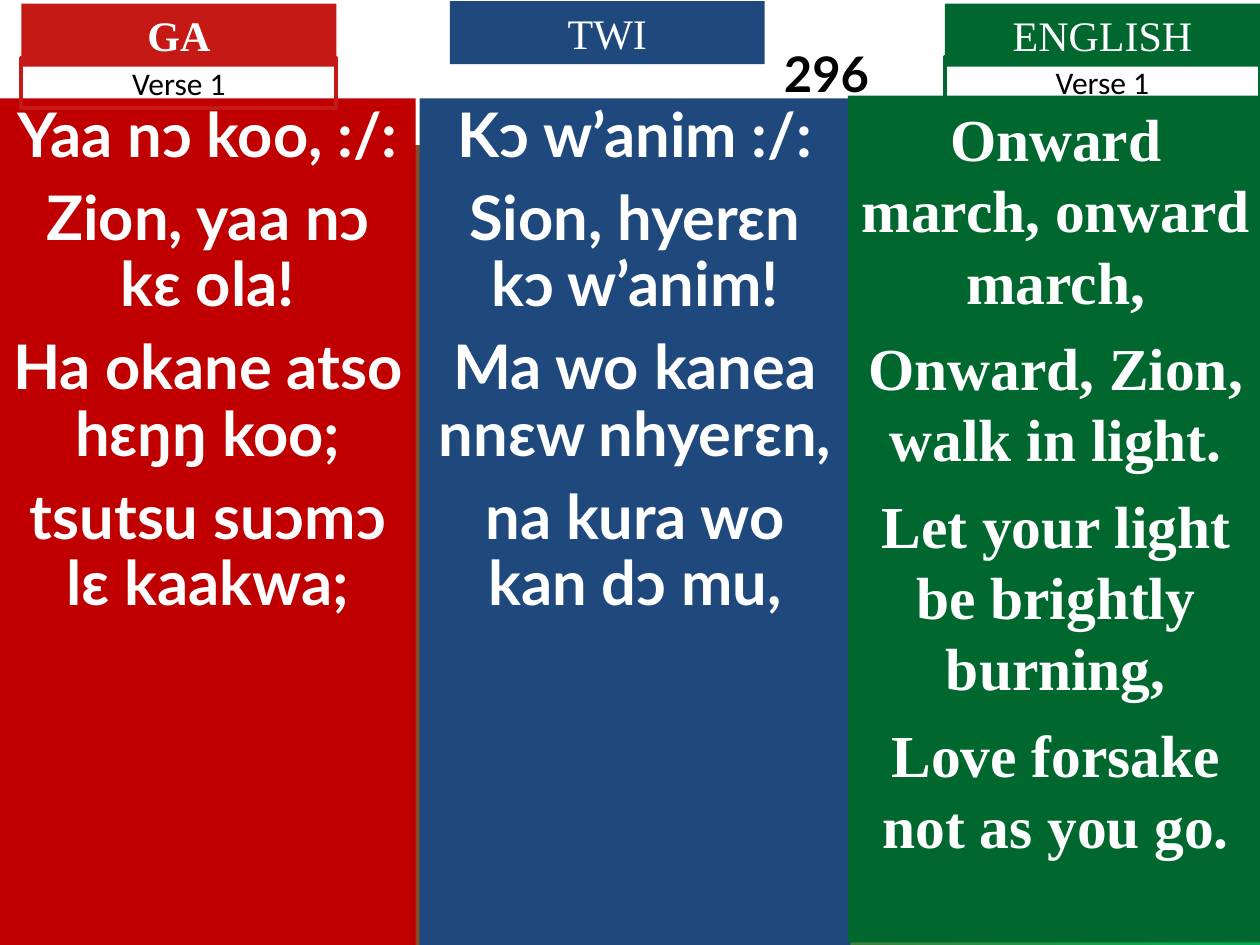
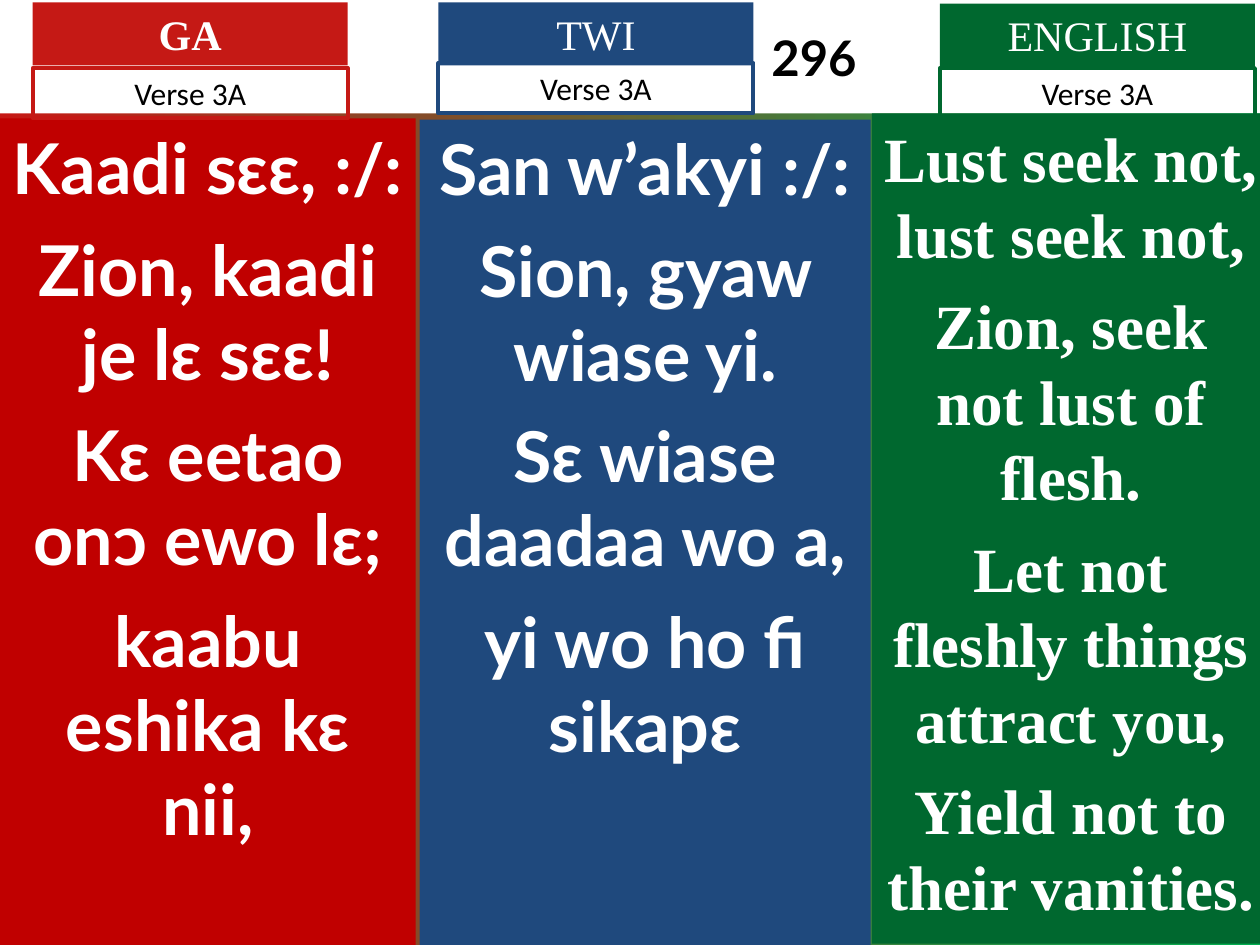
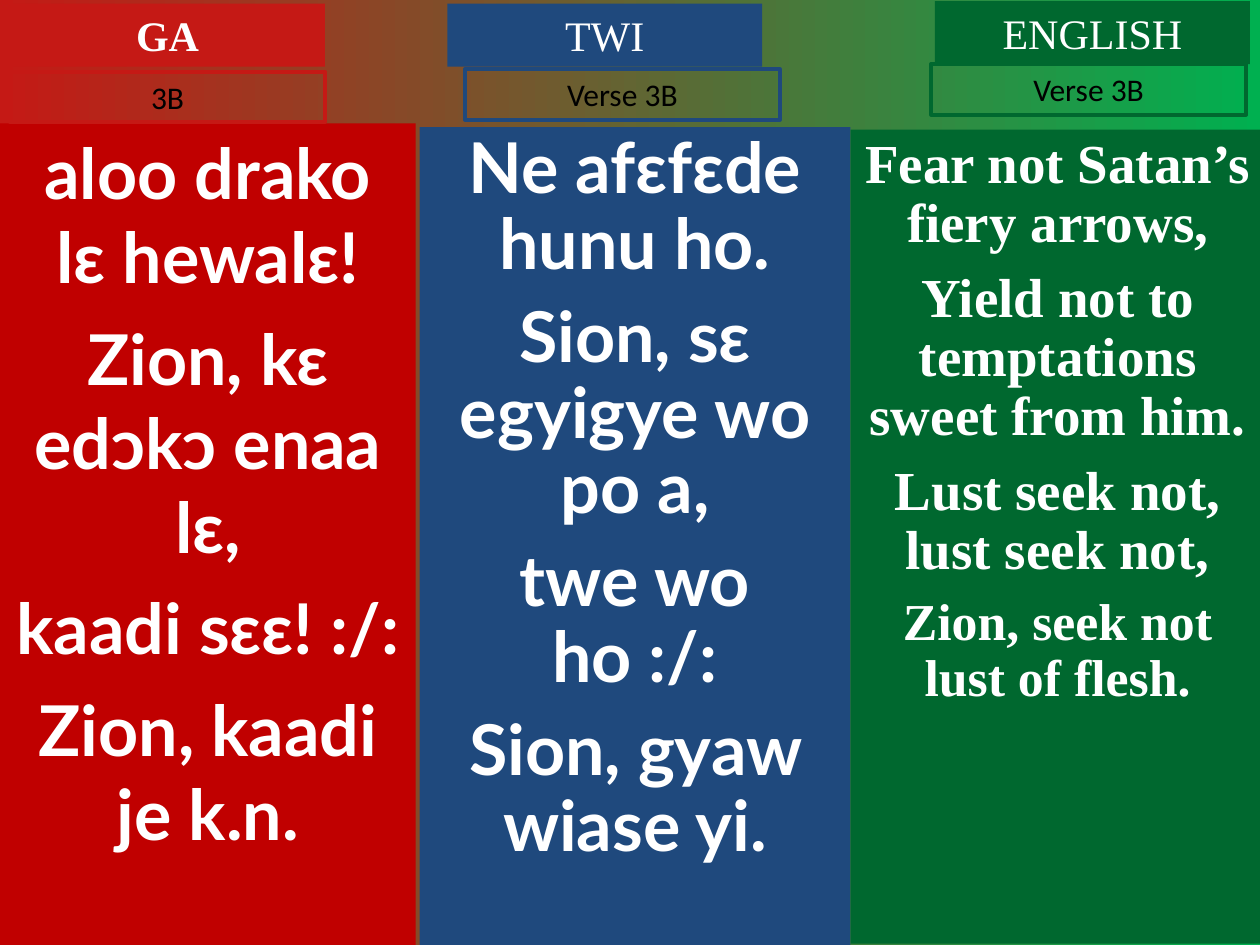
from pptx import Presentation, util as u
from pptx.dml.color import RGBColor
from pptx.enum import shapes, text

HUES = {
    "red": "C51915", "deep": "C00000", "blue": "1F497D", "green": "00682F",
    "lime": "00B050", "white": "FFFFFF", "black": "000000",
}
TONGUES = [
    {"name": "GA", "panel": "deep", "tag": "red", "font": "Lato", "bold": True},
    {"name": "TWI", "panel": "blue", "tag": "blue", "font": "Lato", "bold": False},
    {"name": "ENGLISH", "panel": "green", "tag": "green",
     "font": "Times New Roman", "bold": False},
]
TAG = (2.5, 0.5)
LABEL = (2.5, 0.4)

VERSES = [
    {"band": (0, 0, 10, 1.15), "mid": 6.56, "cols": [
        {"box": (0, 0.78, 3.3, 6.72), "tag": (0.17, 0.03),
         "label": ("Verse 1", 0.17, 0.46), "size": 35.1, "lead": 0.9, "gap": 9.5,
         "lines": ["Yaa nɔ koo, :/:", "Zion, yaa nɔ kɛ ola!",
                   "Ha okane atso hɛŋŋ koo;", "tsutsu suɔmɔ lɛ kaakwa;"]},
        {"box": (3.33, 0.78, 3.42, 6.72), "tag": (3.57, 0.01),
         "size": 35.1, "lead": 0.9, "gap": 9.5,
         "lines": ["Kɔ w’anim :/:", "Sion, hyerɛn kɔ w’anim!",
                   "Ma wo kanea nnɛw nhyerɛn,", "na kura wo kan dɔ mu,"]},
        {"box": (6.73, 0.76, 3.3, 6.72), "tag": (7.5, 0.03),
         "label": ("Verse 1", 7.5, 0.45), "size": 34, "gap": 8.5,
         "lines": ["Onward march, onward march,", "Onward, Zion, walk in light.",
                   "Let your light be brightly burning,",
                   "Love forsake not as you go."]},
    ]},
    {"band": (0, 0, 10, 0.9), "mid": 6.46, "cols": [
        {"box": (0, 0.94, 3.3, 6.56), "tag": (0.26, 0.02),
         "label": ("Verse 3A", 0.26, 0.54), "size": 40, "gap": 10,
         "lines": ["Kaadi sɛɛ, :/:", "Zion, kaadi je lɛ sɛɛ!",
                   "Kɛ eetao onɔ ewo lɛ;", "kaabu eshika kɛ nii,"]},
        {"box": (3.33, 0.95, 3.58, 6.55), "tag": (3.48, 0.02),
         "label": ("Verse 3A", 3.48, 0.5), "size": 40, "gap": 10,
         "lines": ["San w’akyi :/:", "Sion, gyaw wiase yi.",
                   "Sɛ wiase daadaa wo a,", "yi wo ho fi sikapɛ"]},
        {"box": (6.92, 0.9, 3.16, 6.59), "tag": (7.46, 0.03),
         "label": ("Verse 3A", 7.46, 0.54), "size": 36, "gap": 9,
         "lines": ["Lust seek not, lust seek not,", "Zion, seek not lust of flesh.",
                   "Let not fleshly things attract you,",
                   "Yield not to their vanities."]},
    ]},
    {"cols": [
        {"box": (0, 0.98, 3.3, 6.52), "tag": (0.08, 0.03),
         "label": ("3B", 0.08, 0.57), "size": 40, "gap": 10,
         "lines": ["aloo drako lɛ hewalɛ!", "Zion, kɛ edɔkɔ enaa lɛ,",
                   "kaadi sɛɛ! :/:", "Zion, kaadi je k.n."]},
        {"box": (3.33, 1.01, 3.42, 6.49), "tag": (3.55, 0.03),
         "label": ("Verse 3B", 3.69, 0.55), "size": 40, "lead": 0.9, "gap": 10,
         "lines": ["Ne afɛfɛde hunu ho.", "Sion, sɛ egyigye wo po a,",
                   "twe wo ho :/:", "Sion, gyaw wiase yi."]},
        {"box": (6.75, 1.03, 3.29, 6.46), "tag": (7.42, 0.01),
         "label": ("Verse 3B", 7.39, 0.51), "size": 31.4, "last": 29.6,
         "lead": 0.9, "gap": 8.5,
         "lines": ["Fear not Satan’s fiery arrows,",
                   "Yield not to temptations sweet from him.",
                   "Lust seek not, lust seek not,", "Zion, seek not lust of flesh."]},
    ]},
]


def hue(key):
    return RGBColor.from_string(HUES[key])


def block(slide, box, fill=None, line=None):
    shape = slide.shapes.add_shape(
        shapes.MSO_SHAPE.RECTANGLE, *(u.Inches(n) for n in box))
    shape.shadow.inherit = False
    if fill:
        shape.fill.solid()
        shape.fill.fore_color.rgb = hue(fill)
    else:
        shape.fill.background()
    if line:
        shape.line.color.rgb = hue(line)
        shape.line.width = u.Pt(2.25)
    else:
        shape.line.fill.background()
    return shape


def write(shape, lines, font, size, color="white", bold=False,
          lead=1.0, gap=0, anchor=text.MSO_ANCHOR.TOP):
    frame = shape.text_frame
    frame.word_wrap = True
    frame.vertical_anchor = anchor
    frame.text = "\n".join(lines)
    for i, para in enumerate(frame.paragraphs):
        para.alignment = text.PP_ALIGN.CENTER
        para.line_spacing = lead
        para.space_before = u.Pt(gap if i else 0)
        face = para.runs[0].font
        face.name, face.size, face.bold = font, u.Pt(size), bold
        face.color.rgb = hue(color)


def header(slide, box, mid):
    band = block(slide, box, "white")
    left, _, width, _ = box
    band.text_frame.margin_left = u.Inches(2 * (mid - left) - width)
    band.text_frame.margin_right = 0
    write(band, ["296"], "Lato", 28, "black", True,
          anchor=text.MSO_ANCHOR.MIDDLE)


def column(slide, tongue, col):
    panel = block(slide, col["box"], tongue["panel"])
    write(panel, col["lines"], tongue["font"], col["size"], bold=True,
          lead=col.get("lead", 1.0), gap=col["gap"])
    if "last" in col:
        para = panel.text_frame.paragraphs[-1]
        para.runs[0].font.size = u.Pt(col["last"])
        para.space_before = u.Pt(8)
    tag = block(slide, col["tag"] + TAG, tongue["tag"])
    write(tag, [tongue["name"]], "Times New Roman", 24, bold=tongue["bold"])
    if "label" in col:
        words, *spot = col["label"]
        label = block(slide, (*spot, *LABEL), line=tongue["tag"])
        write(label, [words], "Calibri", 18, "black")


def verse(deck, data):
    slide = deck.slides.add_slide(deck.slide_layouts[6])
    fill = slide.background.fill
    fill.gradient()
    fill.gradient_angle = 0
    for stop, key in zip(fill.gradient_stops, ("red", "lime")):
        stop.color.rgb = hue(key)
    if "band" in data:
        header(slide, data["band"], data["mid"])
    for tongue, col in zip(TONGUES, data["cols"]):
        column(slide, tongue, col)


def main():
    deck = Presentation()
    deck.slide_width, deck.slide_height = u.Inches(10), u.Inches(7.5)
    for data in VERSES:
        verse(deck, data)
    deck.save("out.pptx")


if __name__ == "__main__":
    main()
